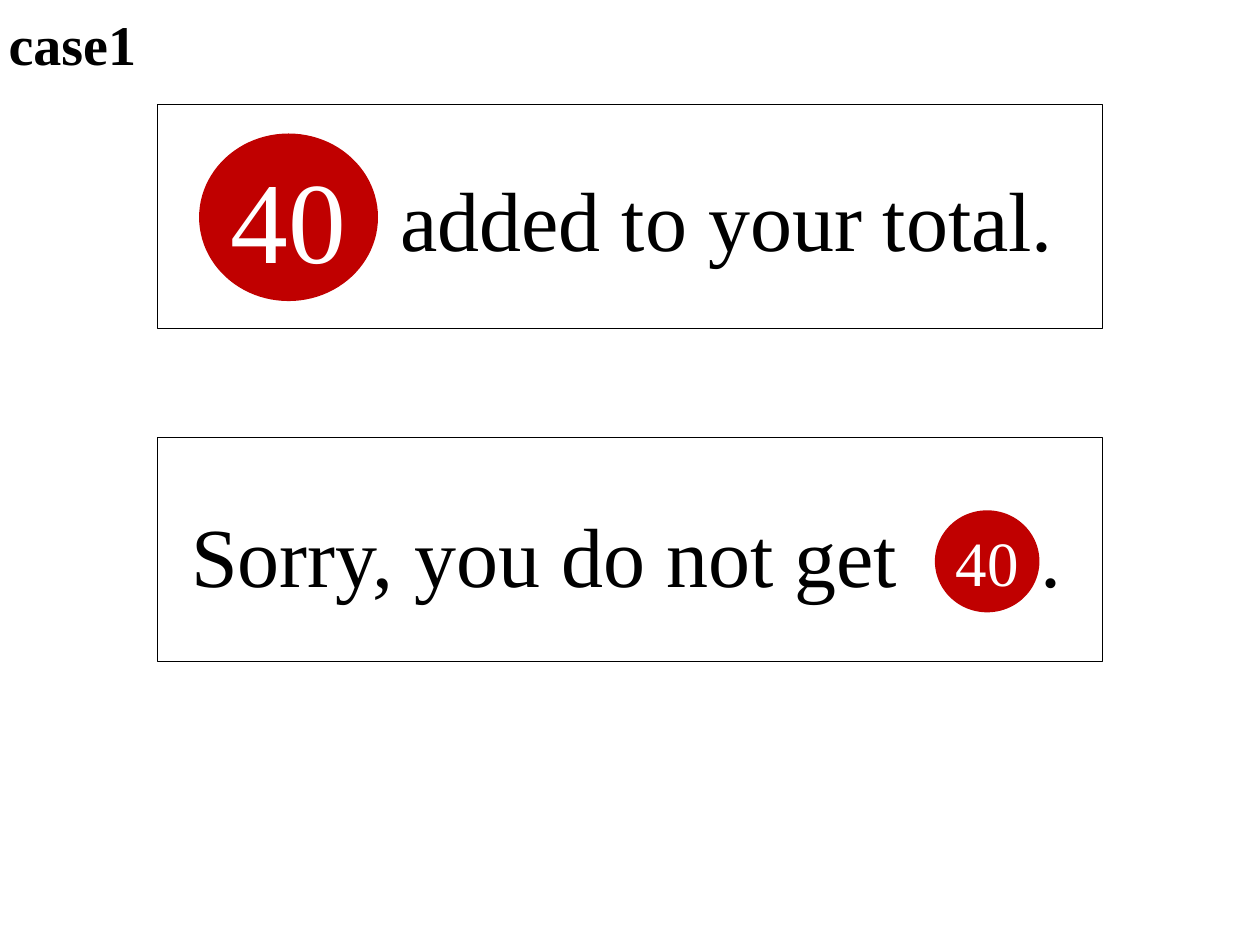
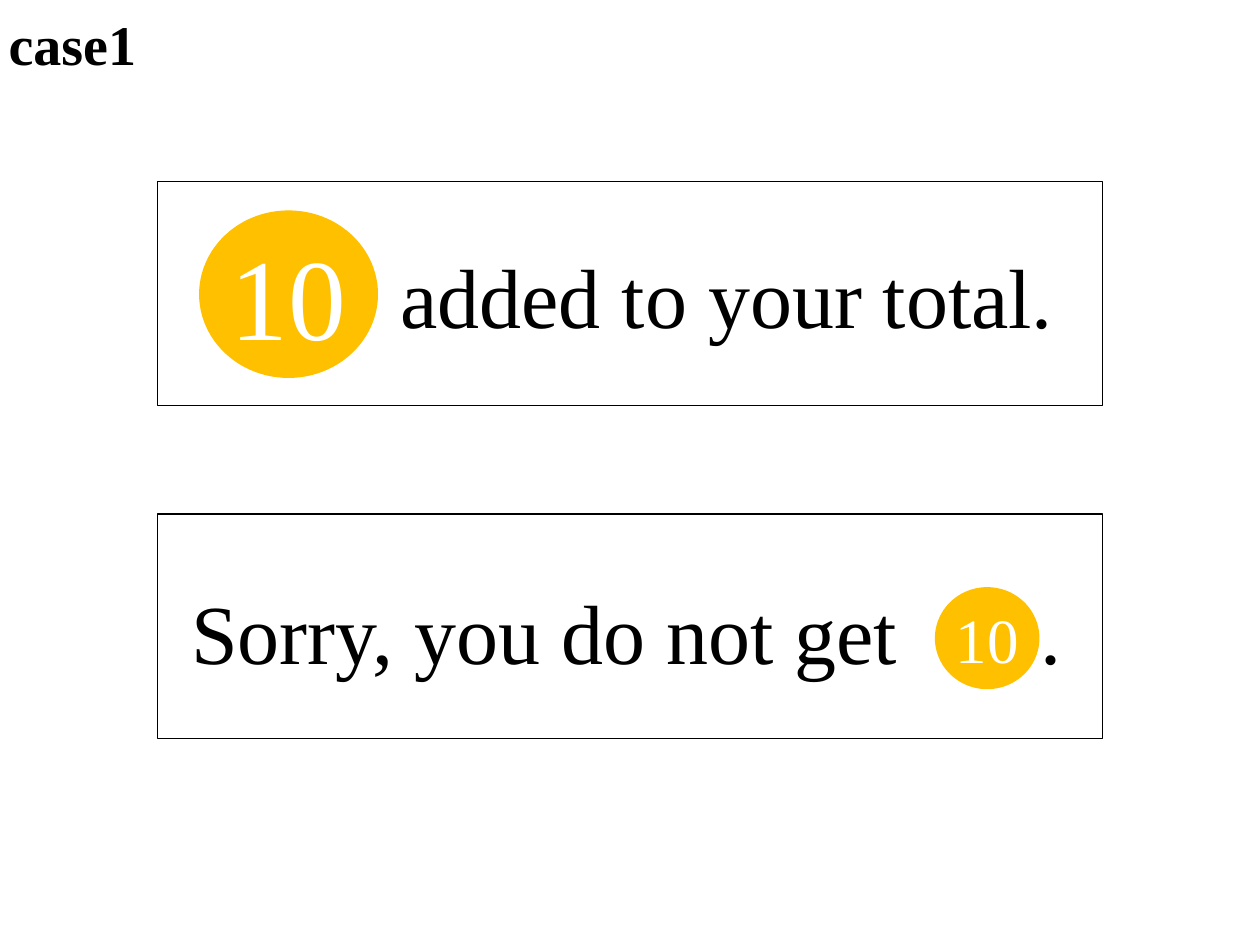
from pptx import Presentation
from pptx.dml.color import RGBColor
from pptx.enum.shapes import MSO_SHAPE
from pptx.enum.text import MSO_ANCHOR, PP_ALIGN
from pptx.oxml import parse_xml
from pptx.oxml.ns import nsdecls
from pptx.util import Inches, Pt

COLORS = {"ink": "000000", "white": "FFFFFF", "red": "C00000", "gold": "FFC000"}
FONT = "Times New Roman"
LEFT, WIDE, HIGH = 1.25, 7.5, 1.78
STEP = 2.64
CASES = [("40", "red", 0.83), ("10", "gold", 1.44)]


class Deck:
    def __init__(self):
        self.file = Presentation()
        self.file.slide_width = Inches(10)
        self.file.slide_height = Inches(7.5)

    def page(self):
        self.slide = self.file.slides.add_slide(self.file.slide_layouts[6])
        self.home = self.slide.shapes

    def group(self):
        self.home = self.slide.shapes.add_group_shape().shapes

    def color(self, name):
        return RGBColor.from_string(COLORS[name])

    def style(self, para, size, color, bold=False):
        font = para.font
        font.name, font.size, font.bold = FONT, Pt(size), bold
        font.color.rgb = self.color(color)

    def text(self, text, box, size, bold=False, tab=None):
        frame = self.home.add_textbox(*map(Inches, box)).text_frame
        frame.word_wrap = True
        frame.vertical_anchor = MSO_ANCHOR.MIDDLE
        para = frame.paragraphs[0]
        para.text = text
        para.line_spacing = 0.9
        if tab:
            para._p.get_or_add_pPr().append(parse_xml(
                f'<a:tabLst {nsdecls("a")}><a:tab pos="{Inches(tab)}" algn="l"/></a:tabLst>'))
        self.style(para, size, "ink", bold)

    def frame(self, top):
        box = map(Inches, (LEFT, top, WIDE, HIGH))
        shape = self.home.add_shape(MSO_SHAPE.RECTANGLE, *box)
        shape.shadow.inherit = False
        shape.fill.background()
        shape.line.color.rgb = self.color("ink")
        shape.line.width = Pt(0.75)

    def coin(self, text, box, size, fill):
        shape = self.home.add_shape(MSO_SHAPE.OVAL, *map(Inches, box))
        shape.shadow.inherit = False
        shape.fill.solid()
        shape.fill.fore_color.rgb = self.color(fill)
        shape.line.fill.background()
        frame = shape.text_frame
        frame.word_wrap = False
        frame.vertical_anchor = MSO_ANCHOR.MIDDLE
        frame.margin_left = frame.margin_right = Inches(0.04)
        frame.margin_top = frame.margin_bottom = Inches(0.04)
        para = frame.paragraphs[0]
        para.text = text
        para.alignment = PP_ALIGN.CENTER
        self.style(para, size, "white")


def main():
    deck = Deck()
    for score, fill, top in CASES:
        deck.page()
        deck.text("case1", (-0.03, 0, 1.92, 0.75), 32, bold=True)

        deck.group()
        deck.text("added to your total.", (3.08, top + 0.06, 6, HIGH), 48)
        deck.frame(top)
        deck.coin(score, (1.58, top + 0.23, 1.42, 1.33), 66, fill)

        low = top + STEP
        deck.group()
        deck.text("Sorry, you do not get\t.", (1.42, low + 0.09, WIDE, HIGH), 48, tab=6.74)
        deck.frame(low)
        deck.coin(score, (7.42, low + 0.58, 0.83, 0.81), 36, fill)
    deck.file.save("out.pptx")


if __name__ == "__main__":
    main()
